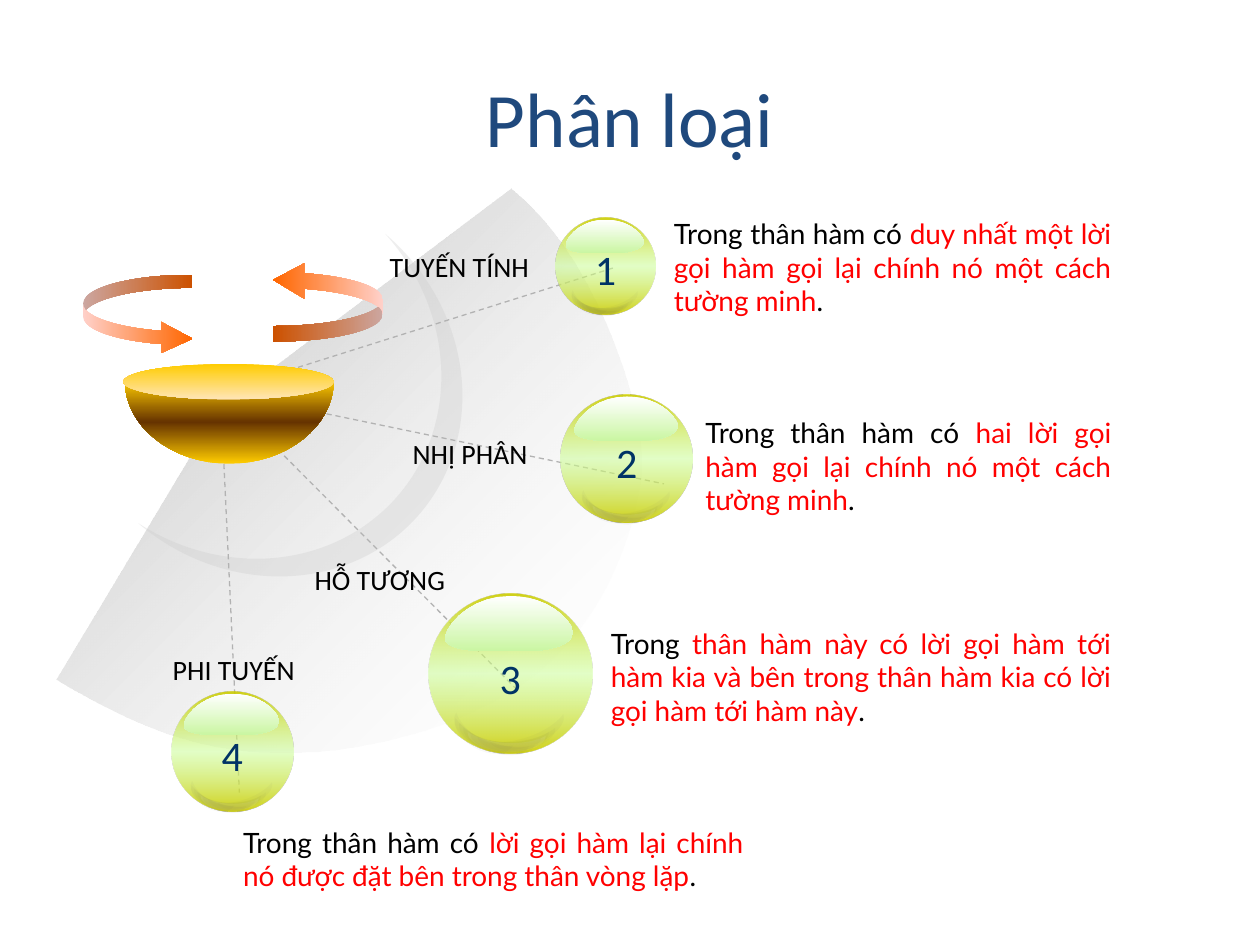
from lxml import etree
from pptx import Presentation
from pptx import util as u
from pptx.dml.color import RGBColor
from pptx.enum import dml, shapes, text
from pptx.oxml.ns import qn

Pt = u.Pt
MSO = shapes.MSO_SHAPE
ALIGN = text.PP_ALIGN


def color(hex_code):
    return RGBColor.from_string(hex_code)


def add_color(parent, hex_code, opacity=100):
    """Append a colour element with its opacity in percent."""
    clr = etree.SubElement(parent, qn("a:srgbClr"), val=hex_code)
    if opacity < 100:
        etree.SubElement(clr, qn("a:alpha"), val=str(opacity * 1000))


def trace(start, steps, samples=16):
    """Points of an outline: a pair is a straight step, six values a cubic curve."""
    points = [start]
    for step in steps:
        if len(step) == 2:
            points.append(step)
            continue
        p0, p1, p2, p3 = points[-1], step[:2], step[2:4], step[4:]
        for i in range(1, samples + 1):
            t = i / samples
            s = 1 - t
            points.append(tuple(
                s**3 * a + 3 * s * s * t * b + 3 * s * t * t * c + t**3 * d
                for a, b, c, d in zip(p0, p1, p2, p3)))
    return points


class Diagram:
    HEAD, BODY = "Calibri", "Lato"
    NAVY, NUMBER, BLACK, RED, GRAY = "1F497D", "003366", "000000", "FF0000", "B2B2B2"
    BALL = [(0, "CCCC00", 90), (50, "CCFF99", 55), (100, "CCCC00", 90)]
    GLOSS = [(0, "FFFFFF"), (100, "CAF6A2")]
    GLOSS_EDGE = trace((.51, 0), [(.7, 0, .9, .2, .99, .57), (1.04, .8, .9, 1, .61, 1),
                                  (.36, 1), (.1, 1, 0, .9, 0, .75),
                                  (.04, .4, .25, 0, .51, 0)], 8)
    # Shading moons as fractions of the ball: x, y, width, height, rotation
    MOONS = [(.56, .65, .115, .49, 70.3), (.485, .68, .115, .49, 83.9),
             (.44, .685, .115, .49, 88.8), (.385, .685, .115, .49, 97.7),
             (.42, .69, .11, .49, 92.9), (.345, .69, .115, .49, 106.4),
             (.31, .68, .115, .49, 111.4), (.245, .7, .13, .41, 120.2)]
    GLINT = 4

    def __init__(self, slide):
        self.slide = slide

    def title(self, words, left, top, width, height):
        holder = self.slide.shapes.title
        holder.left, holder.top, holder.width, holder.height = map(Pt, (left, top, width, height))
        holder.text_frame.vertical_anchor = text.MSO_ANCHOR.MIDDLE
        self.add_words(holder.text_frame, [(words, self.NAVY)], 44, self.HEAD, ALIGN.CENTER)

    def add_words(self, frame, parts, size, face, align):
        frame.word_wrap = True
        paragraph = frame.paragraphs[0]
        paragraph.alignment = align
        for words, hue in parts:
            run = paragraph.add_run()
            run.text = words
            run.font.size, run.font.name = Pt(size), face
            run.font.color.rgb = color(hue)
        return paragraph

    def text(self, box, parts, size=16, face=HEAD, align=ALIGN.CENTER, on=None):
        area = (on or self.slide).shapes.add_textbox(*map(Pt, box))
        return self.add_words(area.text_frame, parts, size, face, align)

    def label(self, words, box):
        run = self.text(box, [(words, self.BLACK)]).runs[0]
        effects = etree.Element(qn("a:effectLst"))
        shadow = etree.SubElement(effects, qn("a:outerShdw"), dist="17961", dir="2700000")
        add_color(shadow, self.BLACK)
        run._r.rPr.find(qn("a:solidFill")).addnext(effects)

    def paint(self, shape, stops, angle):
        """Fill with (position, colour, opacity) stops, without line or shadow."""
        shape.shadow.inherit = False
        shape.line.fill.background()
        if len(stops) == 1:
            shape.fill.solid()
            solid = shape._element.spPr.find(qn("a:solidFill"))
            add_color(solid, *stops[0][1:])
            return shape
        shape.fill.gradient()
        grad = shape._element.spPr.find(qn("a:gradFill"))
        stop_list = grad.find(qn("a:gsLst"))
        for old in list(stop_list):
            stop_list.remove(old)
        for position, *hue in stops:
            add_color(etree.SubElement(stop_list, qn("a:gs"), pos=str(position * 1000)), *hue)
        grad.find(qn("a:lin")).set("ang", str(angle * 60000))
        return shape

    def shape(self, kind, box, stops, angle=90, rotation=0, flip="", adjust=(), on=None):
        item = (on or self.slide).shapes.add_shape(kind, *map(Pt, box))
        item.rotation = rotation
        for axis in flip:
            item._element.spPr.xfrm.set("flip" + axis, "1")
        for i, value in enumerate(adjust):
            item.adjustments[i] = value
        return self.paint(item, stops, angle)

    def outline(self, points, stops, angle=90, on=None):
        points = [(Pt(x), Pt(y)) for x, y in points]
        builder = (on or self.slide).shapes.build_freeform(*points[0])
        builder.add_line_segments(points[1:], close=True)
        return self.paint(builder.convert_to_shape(), stops, angle)

    def ray(self, *ends):
        line = self.slide.shapes.add_connector(shapes.MSO_CONNECTOR.STRAIGHT, *map(Pt, ends))
        line.line.color.rgb = color(self.GRAY)
        line.line.width = Pt(.75)
        line.line.dash_style = dml.MSO_LINE.DASH
        etree.SubElement(line._element.spPr, qn("a:effectLst"))

    def ball(self, number, x, y, w, h, glint):
        group = self.slide.shapes.add_group_shape()
        self.shape(MSO.OVAL, (x, y, w, h), self.BALL, on=group)
        for i, (mx, my, mw, mh, turn) in enumerate(self.MOONS):
            hue = ("FFFFFF", 9) if glint and i == self.GLINT else ("5F5F5F", 4)
            self.shape(MSO.MOON, (x + mx * w, y + my * h, mw * w, mh * h), [(0, *hue)],
                       rotation=turn, flip="HV", adjust=[.498], on=group)
        edge = [(x + w * (.1 + .785 * px), y + h * (.016 + .346 * py))
                for px, py in self.GLOSS_EDGE]
        self.outline(edge, self.GLOSS, on=group)
        self.text((x, y + .53 * h - 18.4, w, 36.8), [(number, self.NUMBER)], 24, on=group)

    def description(self, opening, key, box):
        self.text(box, [(opening, self.BLACK), (key, self.RED), (".", self.BLACK)],
                  face=self.BODY, align=ALIGN.JUSTIFY)


def main():
    deck = Presentation()
    deck.slide_width, deck.slide_height = Pt(720), Pt(540)
    d = Diagram(deck.slides.add_slide(deck.slide_layouts[5]))
    d.title("Phân loại", 36, 21.6, 648, 90)

    # Fan of light with its crescent
    fan = trace((125.3, 233.3), [
        (32.4, 388.1), (72.7, 411.8, 108, 428.4, 154.1, 429.8),
        (200.2, 432, 265.7, 417.6, 307.4, 383.8),
        (348.5, 349.2, 361.4, 301.7, 365.8, 273.6),
        (369.4, 246.2, 354.2, 201.6, 340.6, 173.5),
        (326.9, 146.2, 314.6, 127.4, 291.6, 108)])
    d.outline(fan, [(0, d.GRAY), (100, "FFFFFF", 0)], 45)
    d.shape(MSO.MOON, (135.4, 146.2, 118.8, 217.4), [(0, "C9C9C9", 30)],
            rotation=40.5, flip="H", adjust=[.136])

    # Rays from the bowl to the balls
    for end in [(352.1, 152.6), (379.4, 276.5), (296.6, 395.3), (136.8, 452.9)]:
        d.ray(126, 223.9, *end)

    # Bowl
    bowl = trace((71.3, 217.4), [(71.3, 243.4, 98, 265, 131, 265),
                                 (164, 265, 190.8, 243.4, 190.8, 217.4)])
    d.outline(bowl, [(0, "FFCC00"), (50, "663300"), (100, "FFCC00")])
    d.shape(MSO.OVAL, (70.5, 208, 120.2, 20.2), [(0, "FFCC00"), (100, "FFE5B6")])

    # Numbered balls
    d.ball("1", 317.5, 124.6, 56.9, 55.4, False)
    d.ball("2", 320.4, 225.4, 75.6, 73.4, True)
    d.ball("3", 244.8, 339.1, 93.6, 91.4, True)
    d.ball("4", 97.9, 395.3, 69.8, 68.4, True)

    # Names of the kinds
    d.label("TUYẾN TÍNH", (198, 139, 128.9, 26.6))
    d.label("NHỊ PHÂN", (218.9, 246.2, 99.4, 26.6))
    d.label("HỖ TƯƠNG", (152.6, 318.2, 128.9, 26.6))
    d.label("PHI TUYẾN", (25.2, 369.4, 216.7, 26.6))

    # Descriptions
    opening = "Trong thân hàm có "
    d.description(opening, "duy nhất một lời gọi hàm gọi lại chính nó một cách tường minh",
                  (378, 120.2, 264.2, 65.5))
    d.description(opening, "hai lời gọi hàm gọi lại chính nó một cách tường minh",
                  (396, 234, 246.2, 65.5))
    d.description("Trong ", "thân hàm này có lời gọi hàm tới hàm kia và bên trong "
                  "thân hàm kia có lời gọi hàm tới hàm này", (342, 354.2, 300.2, 65.5))
    d.description(opening, "lời gọi hàm lại chính nó được đặt bên trong thân vòng lặp",
                  (131.8, 468, 300.2, 46))

    # Turning arrows
    orange = [(0, "FFD0C9"), (100, "FF6600")]
    d.shape(MSO.CURVED_RIGHT_ARROW, (47.5, 157, 62.6, 45.4), orange, 0,
            adjust=[.165, .39, .394])
    d.shape(MSO.CURVED_RIGHT_ARROW, (156.2, 149.8, 62.6, 45.4), orange, 0,
            flip="HV", adjust=[.196, .447, .392])

    deck.save("out.pptx")


if __name__ == "__main__":
    main()
